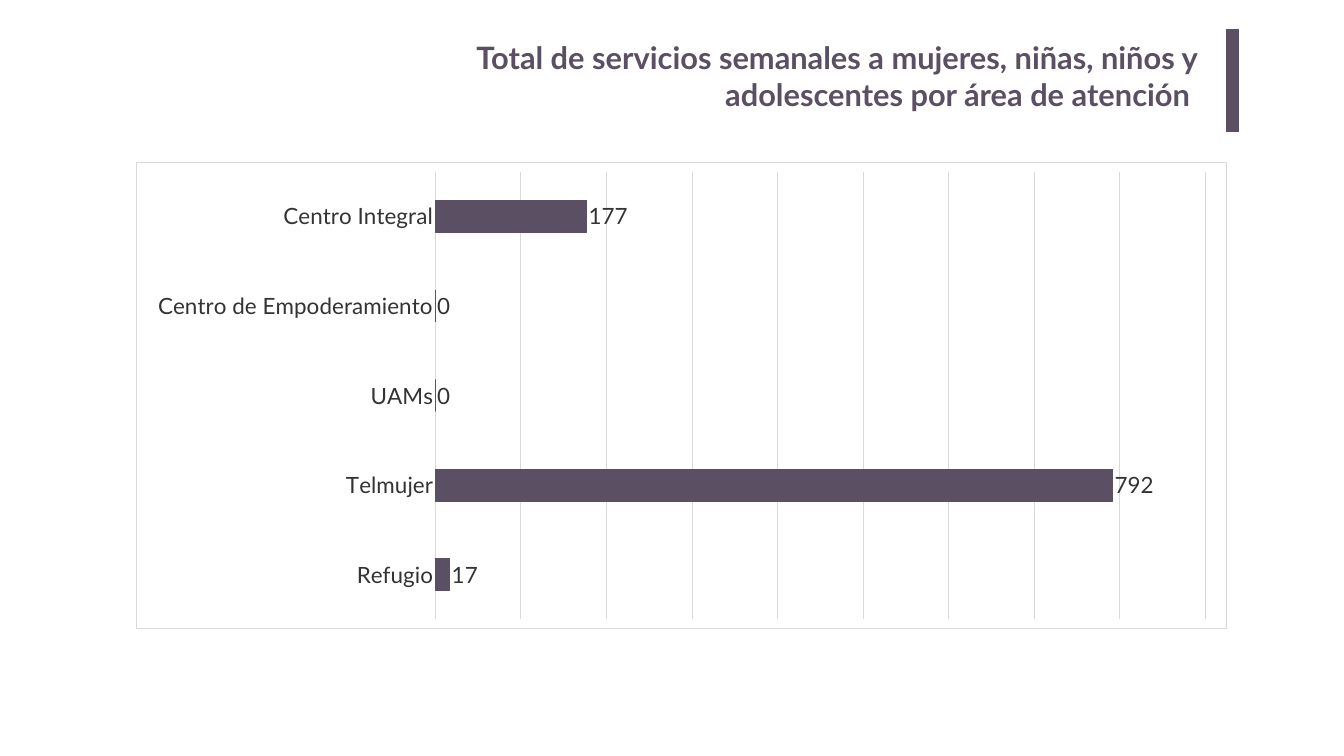
from lxml.etree import fromstring
from pptx import Presentation
from pptx.chart.data import CategoryChartData
from pptx.dml.color import RGBColor
from pptx.enum.chart import XL_CHART_TYPE, XL_LABEL_POSITION, XL_TICK_MARK
from pptx.enum.shapes import MSO_SHAPE
from pptx.enum.text import PP_ALIGN
from pptx.oxml.ns import nsdecls
from pptx.util import Pt

TITLE = ("Total de servicios semanales a mujeres, niñas, niños y "
         "adolescentes por área de atención ")
SERVICES = [
    ("Centro Integral", 177),
    ("Centro de Empoderamiento", 0),
    ("UAMs", 0),
    ("Telmujer", 792),
    ("Refugio", 17),
]

FONT = "Lato"
PLUM = RGBColor(0x5B, 0x4F, 0x63)
INK = RGBColor(0x33, 0x33, 0x33)
GRID = RGBColor(0xD9, 0xD9, 0xD9)
HAIRLINE = Pt(0.75)
SCALE = 914400 / 50.4  # EMU in one px


def px(*lengths):
    return [round(length * SCALE) for length in lengths]


def style_font(font, size, color, bold=False):
    font.name, font.size, font.bold = FONT, Pt(size), bold
    font.color.rgb = color


def style_line(line, color):
    line.color.rgb = color
    line.width = HAIRLINE


deck = Presentation()
deck.slide_width, deck.slide_height = px(1344, 756)
page = deck.slides.add_slide(deck.slide_layouts[6])

# Title
frame = page.shapes.add_textbox(*px(331, 34, 877, 103)).text_frame
frame.word_wrap = True
frame.margin_left, frame.margin_right, frame.margin_top, frame.margin_bottom = px(10, 10, 5, 5)
frame.text = TITLE
heading = frame.paragraphs[0]
heading.alignment = PP_ALIGN.RIGHT
style_font(heading.runs[0].font, 44, PLUM, bold=True)

# Accent bar beside the title
accent = page.shapes.add_shape(MSO_SHAPE.RECTANGLE, *px(1226, 29, 13, 103))
accent.shadow.inherit = False
accent.fill.solid()
accent.fill.fore_color.rgb = PLUM
accent.line.fill.background()

# Bar chart of services by area
data = CategoryChartData()
data.categories = [name for name, total in SERVICES]
data.add_series("Series 1", [total for name, total in SERVICES])
chart = page.shapes.add_chart(XL_CHART_TYPE.BAR_CLUSTERED, *px(136, 162, 1091, 467), data).chart
chart.has_legend = False
chart.has_title = False
style_font(chart.font, 10, RGBColor(0, 0, 0))

plot = chart.plots[0]
plot.gap_width = 182
plot.vary_by_categories = False
bars = plot.series[0]
bars.format.fill.solid()
bars.format.fill.fore_color.rgb = PLUM
style_line(bars.format.line, PLUM)
labels = bars.data_labels
labels.show_value = True
labels.position = XL_LABEL_POSITION.OUTSIDE_END
style_font(labels.font, 32, INK)

# Axes
areas = chart.category_axis
areas.reverse_order = True
areas.major_tick_mark = areas.minor_tick_mark = XL_TICK_MARK.NONE
style_font(areas.tick_labels.font, 32, INK)
style_line(areas.format.line, GRID)
totals = chart.value_axis
totals.visible = False
totals.minimum_scale, totals.maximum_scale, totals.major_unit = 0, 900, 100
totals.has_major_gridlines = True
style_line(totals.major_gridlines.format.line, GRID)

# Chart area: white with a thin border
chart_area = fromstring(
    f'<c:spPr {nsdecls("c", "a")}>'
    '<a:solidFill><a:srgbClr val="FFFFFF"/></a:solidFill>'
    f'<a:ln w="{HAIRLINE}"><a:solidFill><a:srgbClr val="{GRID}"/></a:solidFill></a:ln>'
    '</c:spPr>')
chart.element.chart.addnext(chart_area)

deck.save("out.pptx")
